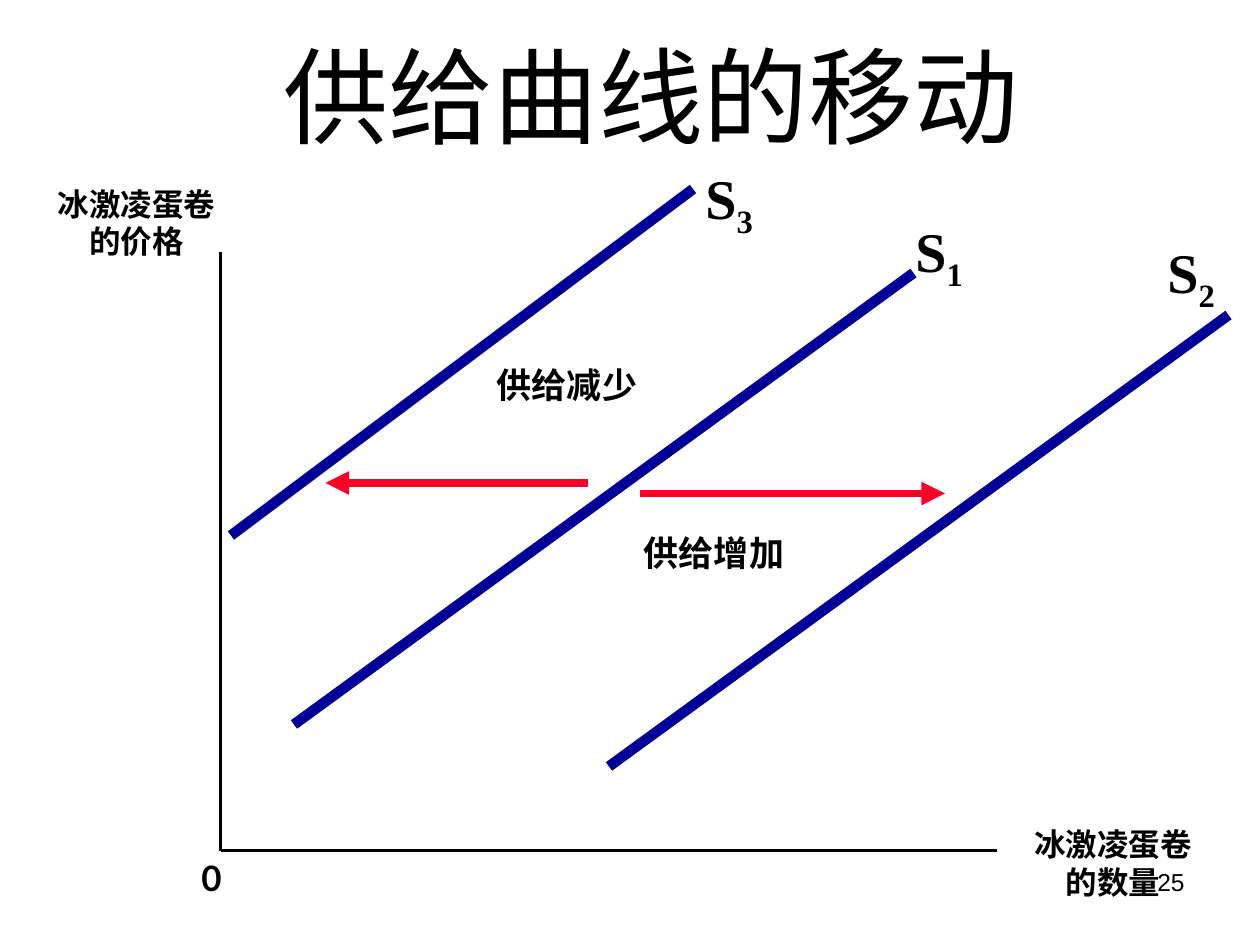
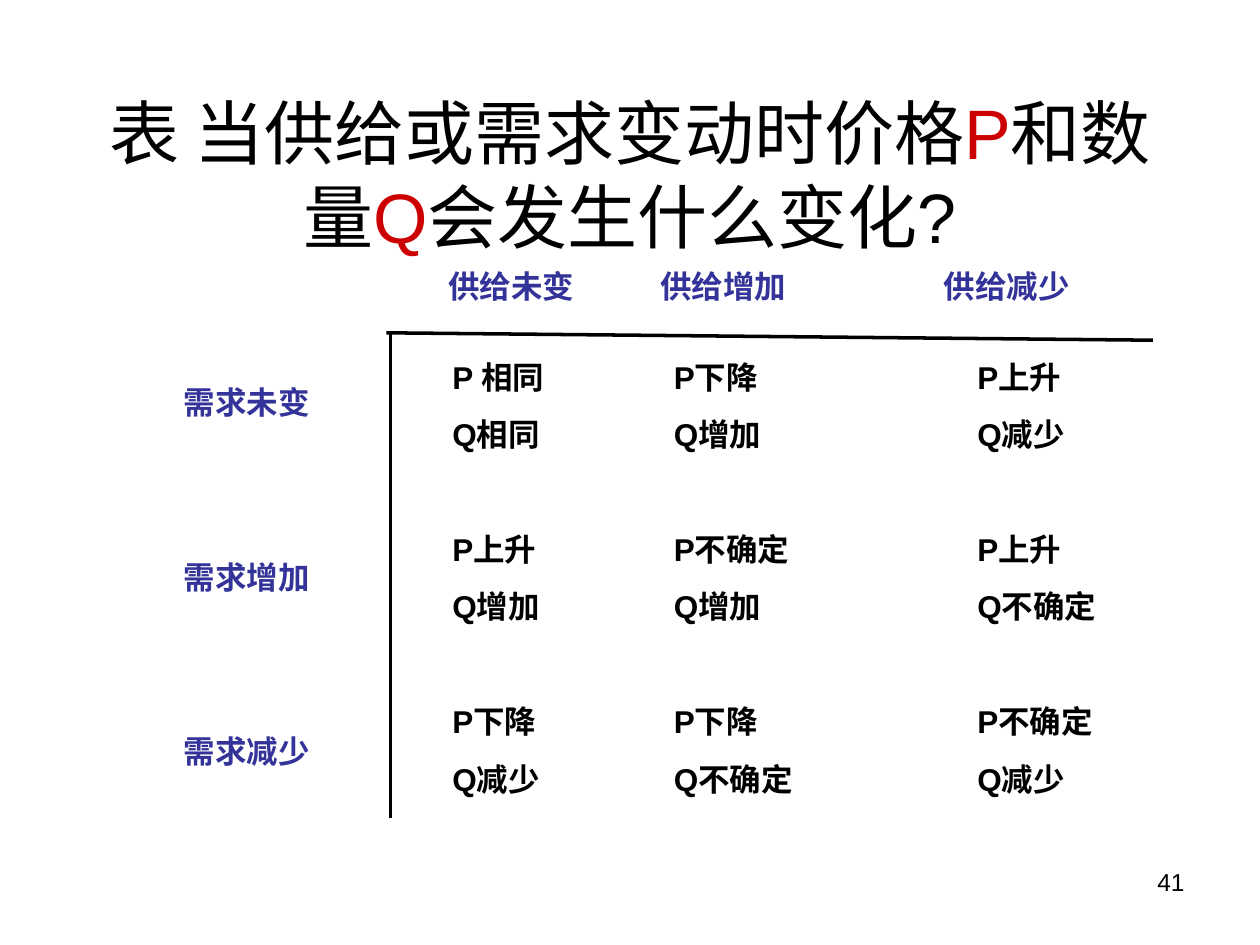
from pptx import Presentation
from pptx.dml.color import RGBColor
from pptx.enum.shapes import MSO_CONNECTOR
from pptx.enum.text import MSO_ANCHOR, MSO_AUTO_SIZE, PP_ALIGN
from pptx.oxml.ns import qn
from pptx.util import Emu, Pt
from lxml import etree

LEFT, CENTER, RIGHT = PP_ALIGN.LEFT, PP_ALIGN.CENTER, PP_ALIGN.RIGHT
MIDDLE = MSO_ANCHOR.MIDDLE
NO_FIT, GROW = MSO_AUTO_SIZE.NONE, MSO_AUTO_SIZE.SHAPE_TO_FIT_TEXT
STRAIGHT = MSO_CONNECTOR.STRAIGHT

EMU_PER_PX = 7620
BLACK, NAVY, ARROW_RED = "000000", "000099", "FC0128"
LETTER_RED, HEADING_BLUE = "CC0000", "333399"
SANS, LABEL, SERIF = "Arial", "Lato", "Times New Roman"


def px(n):
    return Emu(n * EMU_PER_PX)


def rgb(value):
    return RGBColor.from_string(value)


def add_tabs(p, stops):
    tabs = etree.SubElement(p._p.get_or_add_pPr(), qn("a:tabLst"))
    for stop in stops:
        etree.SubElement(tabs, qn("a:tab"), pos=str(px(stop)), algn="l")


def write_text(tf, paragraphs, size=18, font=SANS, color=BLACK, bold=False,
               align=LEFT, spacing=None, gaps=(), tabs=()):
    for i, runs in enumerate(paragraphs):
        p = tf.add_paragraph() if i else tf.paragraphs[0]
        if tabs:
            add_tabs(p, tabs)
        p.alignment = align
        if spacing:
            p.line_spacing = spacing
        if i and gaps:
            p.space_before = Pt(gaps[(i - 1) % len(gaps)])
        for text, run_color, baseline in runs:
            r = p.add_run()
            r.text = text
            r.font.size, r.font.name, r.font.bold = Pt(size), font, bold
            r.font.color.rgb = rgb(run_color or color)
            if baseline:
                r._r.get_or_add_rPr().set("baseline", str(baseline))


def plain(*lines):
    return [[(line, None, 0)] for line in lines]


def place(sp, x, y, w, h):
    sp.left, sp.top, sp.width, sp.height = px(x), px(y), px(w), px(h)


def add_text(slide, box, paragraphs, fit=GROW, **fmt):
    tf = slide.shapes.add_textbox(*map(px, box)).text_frame
    tf.word_wrap = True
    tf.auto_size = fit
    write_text(tf, paragraphs, **fmt)


def add_line(slide, start, end, color=BLACK, width=2, arrow=False):
    c = slide.shapes.add_connector(STRAIGHT, *map(px, start + end))
    c.line.color.rgb = rgb(color)
    c.line.width = Pt(width)
    if arrow:
        etree.SubElement(c.line._get_or_add_ln(), qn("a:tailEnd"), type="triangle")
    etree.SubElement(c._element.spPr, qn("a:effectLst"))


def add_slide(prs, title_box, title, title_size, number):
    slide = prs.slides.add_slide(prs.slide_layouts[5])
    sp = slide.shapes.title
    place(sp, *title_box)
    tf = sp.text_frame
    tf.word_wrap, tf.auto_size, tf.vertical_anchor = True, NO_FIT, MIDDLE
    write_text(tf, title, size=title_size, align=CENTER)
    add_text(slide, (860, 820, 280, 62), plain(number), fit=NO_FIT,
             size=14, align=RIGHT)
    return slide


def add_curve(slide, start, end, label_at, subscript):
    add_line(slide, start, end, NAVY, 6)
    add_text(slide, label_at + (80, 85),
             [[("S", None, 0), (subscript, None, -25000)]],
             size=32, font=SERIF, bold=True)


def add_shift(slide, start, end, label_at, label):
    add_line(slide, start, end, ARROW_RED, 4.5, arrow=True)
    add_text(slide, label_at + (220, 53), plain(label),
             size=20, font=LABEL, bold=True, align=CENTER)


def build_supply_shift(prs):
    slide = add_slide(prs, (90, 30, 1060, 120), plain("供给曲线的移动"), 60, "25")
    origin = (210, 810)
    add_line(slide, (210, 240), origin, width=2.25)
    add_line(slide, origin, (950, 810), width=2.25)
    for x, y, label in ((30, 170, "冰激凌蛋卷的价格"), (960, 780, "冰激凌蛋卷的数量")):
        add_text(slide, (x, y, 200, 84), plain(label),
                 font=LABEL, bold=True, align=CENTER)
    add_text(slide, (180, 810, 60, 53), plain("0"), size=20, font=LABEL, bold=True)
    add_curve(slide, (280, 690), (870, 260), (860, 200), "1")
    add_curve(slide, (580, 730), (1170, 300), (1100, 220), "2")
    add_curve(slide, (220, 510), (660, 180), (660, 150), "3")
    add_shift(slide, (610, 470), (900, 470), (570, 500), "供给增加")
    add_shift(slide, (560, 460), (310, 460), (430, 340), "供给减少")


def build_outcomes(prs):
    title = [[("表 当供给或需求变动时价格", None, 0), ("P", LETTER_RED, 0),
              ("和数量", None, 0), ("Q", LETTER_RED, 0),
              ("会发生什么变化?", None, 0)]]
    slide = add_slide(prs, (60, 90, 1080, 150), title, 40, "41")
    add_text(slide, (415, 248, 690, 48), plain("供给未变\t供给增加\t供给减少"),
             color=HEADING_BLUE, bold=True, tabs=(202, 472))
    add_line(slide, (368, 317), (1098, 324))
    add_line(slide, (372, 317), (372, 779))
    add_text(slide, (80, 330, 227, 412), plain("需求未变", "需求增加", "需求减少"),
             color=HEADING_BLUE, bold=True, align=RIGHT, spacing=1.8, gaps=(61,))
    outcomes = (
        ("P 相同", "P下降", "P上升"),
        ("Q相同", "Q增加", "Q减少"),
        ("P上升", "P不确定", "P上升"),
        ("Q增加", "Q增加", "Q不确定"),
        ("P下降", "P下降", "P不确定"),
        ("Q减少", "Q不确定", "Q减少"),
    )
    add_text(slide, (419, 335, 686, 432), plain(*map("\t".join, outcomes)),
             bold=True, gaps=(11.2, 44), tabs=(211, 500))


def main():
    prs = Presentation()
    prs.slide_width, prs.slide_height = px(1200), px(900)
    build_supply_shift(prs)
    build_outcomes(prs)
    prs.save("out.pptx")


if __name__ == "__main__":
    main()
